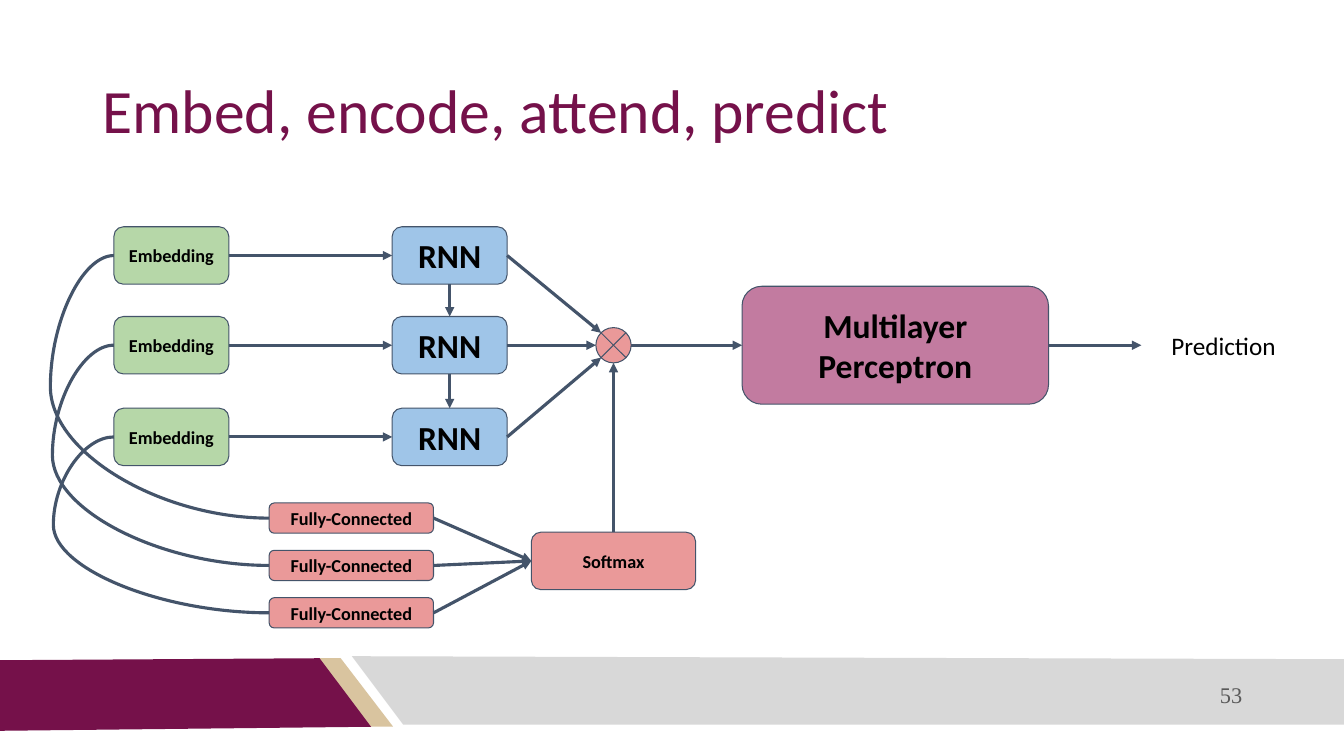
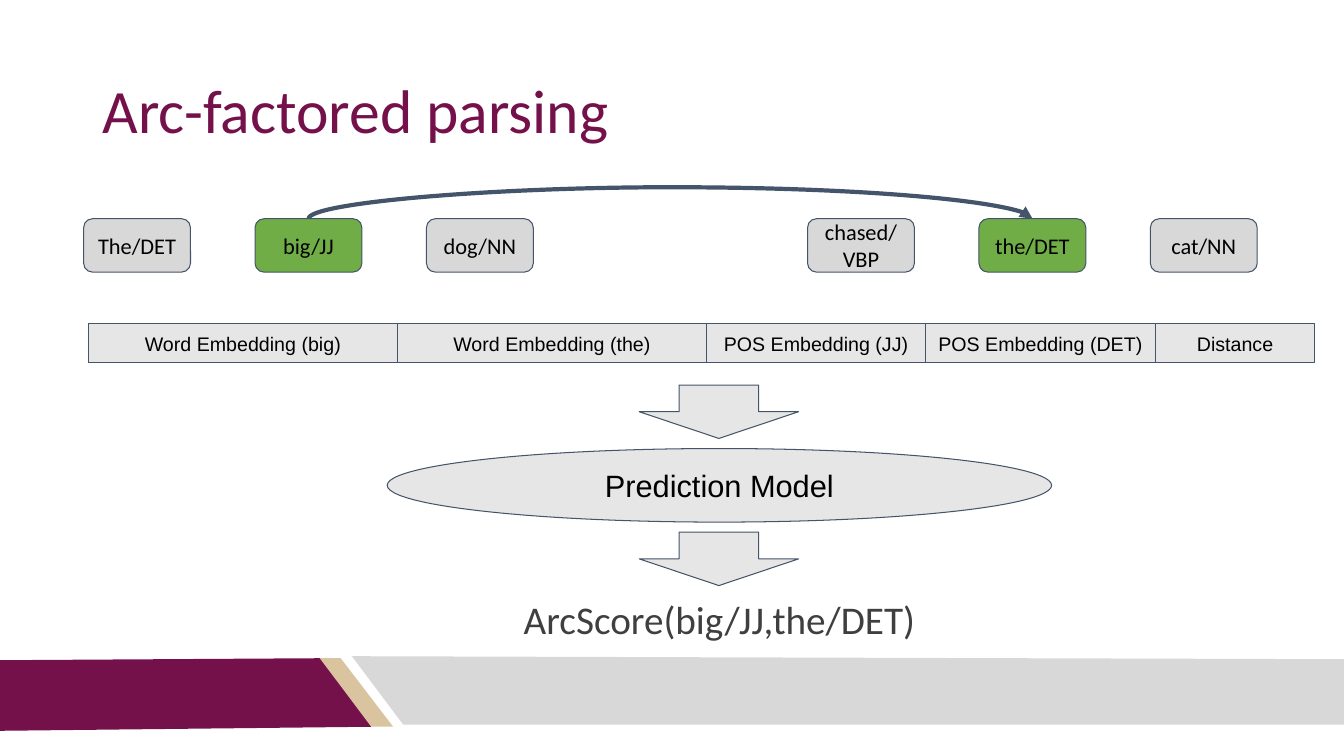
from itertools import accumulate

from lxml import etree
from pptx import Presentation
from pptx.dml.color import RGBColor
from pptx.enum.shapes import MSO_CONNECTOR, MSO_SHAPE
from pptx.enum.text import MSO_ANCHOR, PP_ALIGN
from pptx.oxml.ns import qn
from pptx.util import Inches, Pt

ROUND, RECT = MSO_SHAPE.ROUNDED_RECTANGLE, MSO_SHAPE.RECTANGLE
OVAL, DOWN = MSO_SHAPE.OVAL, MSO_SHAPE.DOWN_ARROW
JUNCTION = MSO_SHAPE.FLOWCHART_SUMMING_JUNCTION
STRAIGHT, CURVE = MSO_CONNECTOR.STRAIGHT, MSO_CONNECTOR.CURVE
LEFT, CENTER, RIGHT = PP_ALIGN.LEFT, PP_ALIGN.CENTER, PP_ALIGN.RIGHT
TOP, MIDDLE = MSO_ANCHOR.TOP, MSO_ANCHOR.MIDDLE


class Theme:
    maroon, gold, band = "75114A", "D9C49F", "D8D8D8"
    line, black, number, score = "44546A", "000000", "595959", "3F3F3F"
    green, blue, red, purple = "B6D7A8", "9FC5E8", "EA9999", "C27BA0"
    word, picked, feature = "D8D8D8", "70AD47", "E7E6E6"
    body, sans, serif = "Calibri", "Arial", "Times New Roman"
    title_pt, score_pt, large_pt, model_pt = 44, 28, 24, 22
    label_pt, word_pt, feature_pt, small_pt = 18, 16, 14, 13
    outline_pt, link_pt, arc_pt = 0.75, 2.25, 3


BANDS = [
    (Theme.gold, [(3.16, 6.53), (3.38, 6.53), (3.9, 7.21), (3.67, 7.21)]),
    (Theme.maroon, [(0, 6.55), (3.17, 6.53), (3.68, 7.21), (0, 7.25)]),
    (Theme.band, [(3.49, 6.51), (13.33, 6.54), (13.33, 7.19), (4, 7.19)]),
]

SITES = {
    "top": (0.5, 0, 0), "left": (0, 0.5, 1),
    "bottom": (0.5, 1, 2), "right": (1, 0.5, 3),
    "round top left": (0.15, 0.15, 1), "round left": (0, 0.5, 2),
    "round bottom left": (0.15, 0.85, 3), "round bottom": (0.5, 1, 4),
    "round right": (1, 0.5, 6),
}

ROW_TOPS = [2.25, 3.14, 4.05]
CURVE_REACH = [0.5, 0.52, 0.53]
JUNCTION_SIDES = ["round top left", "round left", "round bottom left"]

WORD_GROUPS = [
    (0.83, ["The/DET", "big/JJ", "dog/NN"]),
    (8.01, ["chased/VBP", "the/DET", "cat/NN"]),
]
ARC = ("big/JJ", "the/DET")
WORD_PITCH = 1.7
FEATURES = [
    ("Word Embedding (big)", 3.06),
    ("Word Embedding (the)", 3.07),
    ("POS Embedding (JJ)", 2.17),
    ("POS Embedding (DET)", 2.28),
    ("Distance", 1.58),
]


def rgb(color):
    return RGBColor.from_string(color)


def write(shape, text, size, font=Theme.body, color=Theme.black, bold=False,
          align=CENTER, anchor=MIDDLE, spacing=None):
    tf = shape.text_frame
    tf.word_wrap = True
    tf.vertical_anchor = anchor
    tf.margin_left = tf.margin_right = Inches(0.1)
    tf.margin_top = tf.margin_bottom = Inches(0.1)
    p = tf.paragraphs[0]
    p.alignment = align
    if spacing:
        p.line_spacing = spacing
    r = p.add_run()
    r.text = text
    r.font.size, r.font.name, r.font.bold = Pt(size), font, bold
    r.font.color.rgb = rgb(color)


def add_text(s, text, at, size, **fmt):
    sp = s.shapes.add_textbox(*map(Inches, at))
    write(sp, text, size, **fmt)
    return sp


def add_box(s, kind, at, fill, text="", size=Theme.small_pt, **fmt):
    sp = s.shapes.add_shape(kind, *map(Inches, at))
    sp.shadow.inherit = False
    sp.fill.solid()
    sp.fill.fore_color.rgb = rgb(fill)
    sp.line.color.rgb = rgb(Theme.line)
    sp.line.width = Pt(Theme.outline_pt)
    if text:
        write(sp, text, size, **fmt)
    return sp


def site_point(shape, site):
    fx, fy, _ = SITES[site]
    return int(shape.left + fx * shape.width), int(shape.top + fy * shape.height)


def style_link(cx, start, start_site, end, end_site, width, arrow=True, bend=None):
    cx.line.color.rgb = rgb(Theme.line)
    cx.line.width = Pt(width)
    props = cx._element.spPr
    if arrow:
        etree.SubElement(props.find(qn("a:ln")), qn("a:tailEnd"), type="triangle")
    etree.SubElement(props, qn("a:effectLst"))
    if bend is not None:
        guides = props.find(qn("a:prstGeom")).find(qn("a:avLst"))
        etree.SubElement(guides, qn("a:gd"), name="adj1", fmla=f"val {round(bend * 100000)}")
    glue = cx._element.nvCxnSpPr.cNvCxnSpPr
    for tie, shape, site in ((glue.get_or_add_stCxn(), start, start_site),
                             (glue.get_or_add_endCxn(), end, end_site)):
        tie.id, tie.idx = shape.shape_id, SITES[site][2]


def link(s, start, start_site, end, end_site, reach=None):
    (x1, y1), (x2, y2) = site_point(start, start_site), site_point(end, end_site)
    curved = reach is not None
    cx = s.shapes.add_connector(CURVE if curved else STRAIGHT, x1, y1, x2, y2)
    bend = (Inches(reach) - x1) / (x2 - x1) if curved else None
    style_link(cx, start, start_site, end, end_site, Theme.link_pt, not curved, bend)


def arc_over(s, start, end, lift):
    (x1, y), (x2, _) = site_point(start, "top"), site_point(end, "top")
    middle, half, depth = (x1 + x2) // 2, (x2 - x1) // 2, 600
    cx = s.shapes.add_connector(CURVE, middle + depth // 2, y - half,
                                middle - depth // 2, y + half)
    cx.rotation = 270
    style_link(cx, start, "top", end, "top", Theme.arc_pt, bend=-Inches(lift) / depth)


def new_slide(prs, title):
    s = prs.slides.add_slide(prs.slide_layouts[6])
    for color, points in BANDS:
        corners = [(Inches(x), Inches(y)) for x, y in points]
        outline = s.shapes.build_freeform(*corners[0], scale=1.0)
        outline.add_line_segments(corners[1:], close=True)
        sp = outline.convert_to_shape()
        sp.shadow.inherit = False
        sp.fill.solid()
        sp.fill.fore_color.rgb = rgb(color)
        sp.line.fill.background()
    add_text(s, title, (0.92, 0.4, 11.5, 1.45), Theme.title_pt,
             color=Theme.maroon, align=LEFT, spacing=0.9)
    return s


def network_slide(prs):
    s = new_slide(prs, "Embed, encode, attend, predict")
    add_text(s, "53", (7.92, 6.69, 4.5, 0.4), Theme.word_pt,
             font=Theme.serif, color=Theme.number, align=RIGHT)
    embeddings = [add_box(s, ROUND, (1.13, y, 1.14, 0.57), Theme.green,
                          "Embedding", bold=True) for y in ROW_TOPS]
    rnns = [add_box(s, ROUND, (3.89, y, 1.14, 0.57), Theme.blue,
                    "RNN", Theme.large_pt, bold=True) for y in ROW_TOPS]
    dense = [add_box(s, ROUND, (2.67, 4.99 + 0.47 * i, 1.63, 0.3), Theme.red,
                     "Fully-Connected", bold=True) for i in range(len(ROW_TOPS))]
    softmax = add_box(s, ROUND, (5.27, 5.28, 1.63, 0.57), Theme.red, "Softmax", bold=True)
    junction = add_box(s, JUNCTION, (5.91, 3.25, 0.35, 0.35), Theme.red)
    perceptron = add_box(s, ROUND, (7.36, 2.84, 3.04, 1.17), Theme.purple,
                         "Multilayer Perceptron", Theme.large_pt, bold=True)
    prediction = add_text(s, "Prediction", (11.32, 3.18, 1.63, 0.49),
                          Theme.label_pt, anchor=TOP)

    for emb, rnn, fc, reach, side in zip(embeddings, rnns, dense, CURVE_REACH, JUNCTION_SIDES):
        link(s, emb, "right", rnn, "left")
        link(s, emb, "left", fc, "left", reach=reach)
        link(s, fc, "right", softmax, "left")
        link(s, rnn, "right", junction, side)
    for upper, lower in zip(rnns, rnns[1:]):
        link(s, upper, "bottom", lower, "top")
    link(s, softmax, "top", junction, "round bottom")
    link(s, junction, "round right", perceptron, "left")
    link(s, perceptron, "right", prediction, "left")


def parsing_slide(prs):
    s = new_slide(prs, "Arc-factored parsing")
    words = {}
    for left, group in WORD_GROUPS:
        for i, word in enumerate(group):
            fill = Theme.picked if word in ARC else Theme.word
            words[word] = add_box(s, ROUND, (left + WORD_PITCH * i, 2.17, 1.06, 0.53),
                                  fill, word, Theme.word_pt)
    arc_over(s, *(words[word] for word in ARC), lift=0.26)

    lefts = accumulate((width for _, width in FEATURES), initial=0.88)
    for (label, width), left in zip(FEATURES, lefts):
        add_box(s, RECT, (left, 3.21, width, 0.39), Theme.feature, label,
                Theme.feature_pt, font=Theme.sans)
    add_box(s, OVAL, (3.84, 4.45, 6.59, 0.73), Theme.feature, "Prediction Model",
            Theme.model_pt, font=Theme.sans)
    for top in (3.82, 5.28):
        add_box(s, DOWN, (6.34, top, 1.58, 0.53), Theme.feature)
    add_text(s, "ArcScore(big/JJ,the/DET)", (4.2, 5.86, 5.87, 0.63), Theme.score_pt,
             color=Theme.score, anchor=TOP, spacing=0.9)


def main():
    prs = Presentation()
    prs.slide_width, prs.slide_height = Inches(13.33), Inches(7.5)
    network_slide(prs)
    parsing_slide(prs)
    prs.save("out.pptx")


if __name__ == "__main__":
    main()
